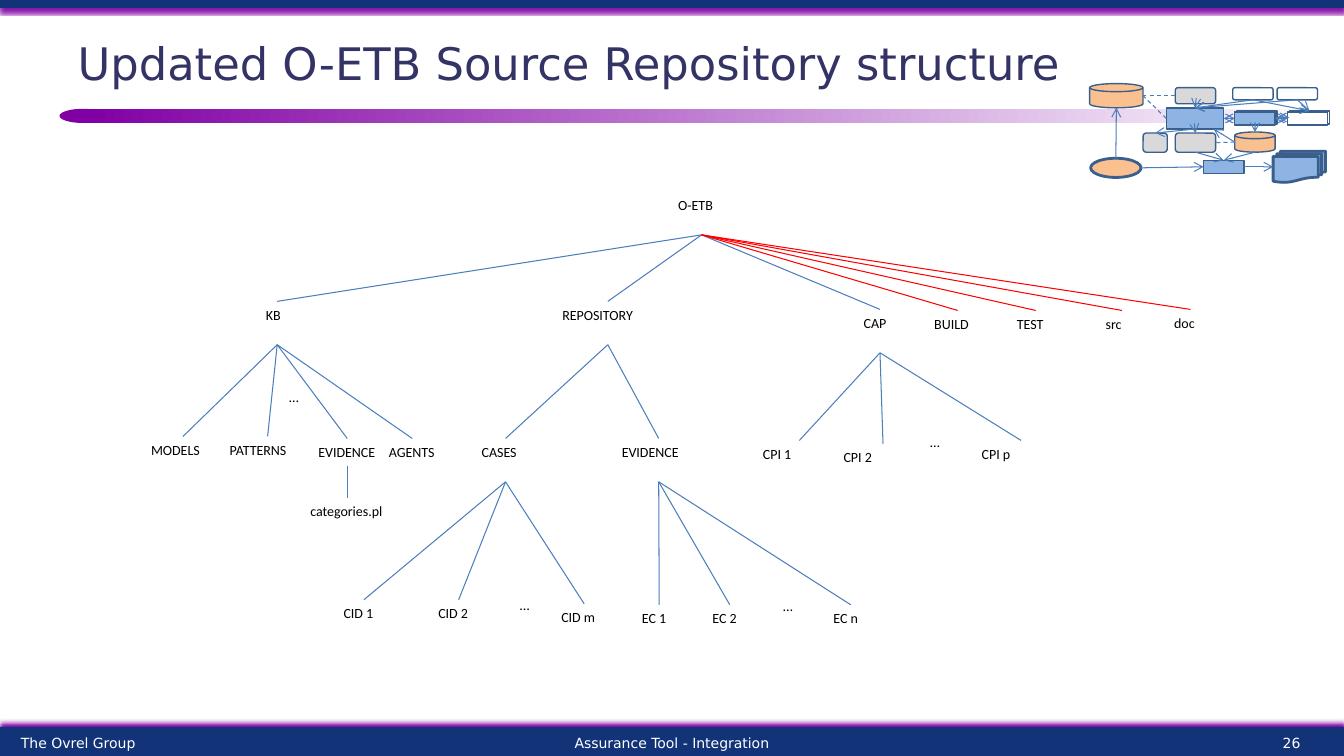
from dataclasses import dataclass

from lxml import etree
from pptx import Presentation
from pptx.dml.color import RGBColor
from pptx.enum.dml import MSO_LINE
from pptx.enum.shapes import MSO_CONNECTOR, MSO_SHAPE
from pptx.enum.text import MSO_ANCHOR, MSO_AUTO_SIZE, PP_ALIGN
from pptx.oxml.ns import qn
from pptx.util import Inches, Pt

STRAIGHT = MSO_CONNECTOR.STRAIGHT
DASH = MSO_LINE.DASH
RECT, ROUND, OVAL = MSO_SHAPE.RECTANGLE, MSO_SHAPE.ROUNDED_RECTANGLE, MSO_SHAPE.OVAL
PROCESS, DISK = MSO_SHAPE.FLOWCHART_PROCESS, MSO_SHAPE.FLOWCHART_MAGNETIC_DISK
DOCS = MSO_SHAPE.FLOWCHART_MULTIDOCUMENT
RECTANGULAR = (RECT, ROUND, PROCESS)
AL_LEFT, AL_CENTER, AL_RIGHT = PP_ALIGN.LEFT, PP_ALIGN.CENTER, PP_ALIGN.RIGHT
ANCHOR_TOP, ANCHOR_MIDDLE = MSO_ANCHOR.TOP, MSO_ANCHOR.MIDDLE
FIXED, GROW = MSO_AUTO_SIZE.NONE, MSO_AUTO_SIZE.SHAPE_TO_FIT_TEXT
TOP, LEFT, BOTTOM, RIGHT = range(4)

NAVY, PURPLE, INK, WHITE, BLACK = "123378", "8100A4", "333366", "FFFFFF", "000000"
EDGE, RED, OUTLINE = "4B7EBC", "FF0000", "3A5F8C"
PEACH, SKY, GREY = "FAC090", "8EB4E3", "D9D9D9"
SANS, LABEL_FONT = "DejaVu Sans", "Calibri"
CELL = Inches(0.1)
COLS, ROWS = 133.33, 75


@dataclass
class Node:
    text: str
    x: float
    y: float
    w: float
    h: float = 4.3
    edge: str = EDGE
    kids: tuple = ()


@dataclass
class Block:
    key: str
    kind: int
    x: float
    y: float
    w: float
    h: float
    fill: str = ""
    weight: float = 1


@dataclass
class Link:
    start: tuple
    end: tuple
    head: bool = False
    tail: bool = True
    dash: bool = False


TREE = Node("O-ETB", 66.3, 19, 6.6, kids=(
    Node("KB", 25.4, 29.9, 4.2, kids=(
        Node("MODELS", 14, 43.3, 8.3),
        Node("PATTERNS", 21.8, 43.3, 9.5),
        Node("…", 27.7, 38.1, 4, edge=""),
        Node("EVIDENCE", 30.6, 43.5, 7.7, 2.7, kids=(
            Node("categories.pl", 29.8, 49.4, 9.3, 2.7),)),
        Node("AGENTS", 37.6, 43.5, 6.6, 2.7))),
    Node("REPOSITORY", 54.8, 29.9, 11, kids=(
        Node("CASES", 46.8, 43.5, 6.7, kids=(
            Node("CID 1", 33.1, 59.5, 6),
            Node("CID 2", 42.5, 59.5, 6),
            Node("…", 50.6, 58.7, 4, edge=""),
            Node("CID m", 54.7, 59.9, 6.5))),
        Node("EVIDENCE", 60.7, 43.5, 9.3, kids=(
            Node("EC 1", 62.7, 60, 5.4),
            Node("EC 2", 69.7, 60, 5.4),
            Node("…", 76.7, 58.8, 4, edge=""),
            Node("EC n", 81.7, 60, 5.4))))),
    Node("CAP", 84.7, 30.7, 5.2, kids=(
        Node("CPI 1", 74.7, 43.7, 9.2),
        Node("CPI 2", 82.7, 44, 9.8),
        Node("…", 91.3, 42.5, 5.2, edge=""),
        Node("CPI p", 96.4, 43.7, 9.8))),
    Node("BUILD", 91.7, 30.8, 6.6, edge=RED),
    Node("TEST", 99.9, 30.8, 5.7, edge=RED),
    Node("src", 108.7, 30.8, 5.2, edge=RED),
    Node("doc", 115.5, 30.7, 5.2, edge=RED)))

BLOCKS = (
    Block("store", DISK, 108.1, 8.3, 5.3, 2.4, PEACH),
    Block("cache", DISK, 122.5, 13.1, 4, 2, PEACH),
    Block("hub", PROCESS, 115.7, 10.7, 5.7, 2.1, SKY),
    Block("lower", ROUND, 116.6, 13.2, 4, 1.9, GREY),
    Block("upper", ROUND, 116.6, 8.7, 4, 1.6, GREY),
    Block("client 1", ROUND, 122.3, 8.7, 4, 1.2),
    Block("client 2", ROUND, 126.7, 8.7, 4, 1.2),
    Block("agent back", RECT, 122.7, 11, 4, 1.3, SKY),
    Block("agent", PROCESS, 122.5, 11.1, 4, 1.3, SKY),
    Block("tool back", RECT, 127.9, 11, 4, 1.3),
    Block("tool", PROCESS, 127.7, 11.1, 4, 1.3, WHITE),
    Block("side", ROUND, 113.4, 13.2, 2.4, 1.9, GREY),
    Block("builder", RECT, 119.4, 15.9, 4, 1.3, SKY),
    Block("reports", DOCS, 126.3, 15, 5.2, 3.1, SKY, 2),
    Block("source", OVAL, 108.2, 15.7, 5, 1.9, PEACH, 2))

LINKS = (
    Link(("agent back", RIGHT), ("tool back", LEFT), head=True),
    Link(("upper", BOTTOM), ("hub", TOP)),
    Link(("hub", BOTTOM), ("lower", TOP)),
    Link(("agent", BOTTOM), ("cache", TOP)),
    Link(("hub", RIGHT), ("agent", LEFT), head=True),
    Link(("upper", LEFT), ("store", RIGHT), tail=False, dash=True),
    Link(("cache", LEFT), ("lower", RIGHT), tail=False, dash=True),
    Link(("agent", RIGHT), ("tool", LEFT), head=True),
    Link(("hub", BOTTOM), ("side", TOP)),
    Link(("client 1", BOTTOM), ("tool back", TOP)),
    Link(("client 2", BOTTOM), ("tool back", TOP)),
    Link(("client 1", BOTTOM), ("hub", TOP)),
    Link(("client 2", BOTTOM), ("hub", TOP)),
    Link(("builder", RIGHT), ("reports", LEFT)),
    Link(("lower", BOTTOM), ("builder", TOP)),
    Link(("cache", BOTTOM), ("builder", TOP)),
    Link(("source", TOP), ("store", BOTTOM)),
    Link(("source", RIGHT), ("builder", LEFT)),
    Link(("hub", LEFT), ("store", RIGHT), tail=False, dash=True))


def rgb(value: str) -> RGBColor:
    return RGBColor.from_string(value)


def grid(*cells: float) -> list:
    return [round(c * CELL) for c in cells]


def write(tf, text: str, *, size: float, font: str, color: str, align=AL_LEFT,
          anchor=ANCHOR_TOP, wrap: bool = True, fit=FIXED) -> None:
    tf.word_wrap, tf.auto_size, tf.vertical_anchor = wrap, fit, anchor
    p = tf.paragraphs[0]
    p.alignment = align
    r = p.add_run()
    r.text = text
    r.font.size, r.font.name, r.font.color.rgb = Pt(size), font, rgb(color)


def add_box(s, kind: int, cells: tuple, fill: str = "", line: str = "", weight: float = 1):
    sp = s.shapes.add_shape(kind, *grid(*cells))
    sp.shadow.inherit = False
    if fill:
        sp.fill.solid()
        sp.fill.fore_color.rgb = rgb(fill)
    else:
        sp.fill.background()
    if line:
        sp.line.color.rgb, sp.line.width = rgb(line), Pt(weight)
    else:
        sp.line.fill.background()
    return sp


def add_bar(s, y: float, h: float, distance: float, angle: int) -> None:
    sp = add_box(s, RECT, (0, y, COLS, h), NAVY)
    glow = etree.SubElement(sp._element.spPr.find(qn("a:effectLst")), qn("a:outerShdw"),
                            blurRad=str(Pt(3)), dist=str(Pt(distance)),
                            dir=str(angle * 60000), algn="ctr", rotWithShape="0")
    etree.SubElement(glow, qn("a:srgbClr"), val=PURPLE)


def side_point(sp, side: int) -> tuple:
    dx, dy = ((0.5, 0), (0, 0.5), (0.5, 1), (1, 0.5))[side]
    return round(sp.left + dx * sp.width), round(sp.top + dy * sp.height)


def add_line(s, start: tuple, end: tuple, color: str = EDGE, head: bool = False,
             tail: bool = False, dash: bool = False):
    line = s.shapes.add_connector(STRAIGHT, *start, *end)
    line.line.color.rgb, line.line.width = rgb(color), Pt(0.75)
    if dash:
        line.line.dash_style = DASH
    ln = line.line._get_or_add_ln()
    for shown, tag in ((head, "a:headEnd"), (tail, "a:tailEnd")):
        if shown:
            etree.SubElement(ln, qn(tag), type="arrow")
    etree.SubElement(line._element.spPr, qn("a:effectLst"))
    return line


def add_node(s, node: Node):
    sp = s.shapes.add_textbox(*grid(node.x, node.y, node.w, node.h))
    write(sp.text_frame, node.text, size=10, font=LABEL_FONT, color=BLACK, wrap=False, fit=GROW)
    for kid in node.kids:
        child = add_node(s, kid)
        if kid.edge:
            line = add_line(s, side_point(sp, BOTTOM), side_point(child, TOP), kid.edge)
            line.begin_connect(sp, BOTTOM)
            line.end_connect(child, TOP)
    return sp


def add_overview(s) -> None:
    shapes = {b.key: add_box(s, b.kind, (b.x, b.y, b.w, b.h), b.fill, OUTLINE, b.weight)
              for b in BLOCKS}
    for k in LINKS:
        a, b = shapes[k.start[0]], shapes[k.end[0]]
        line = add_line(s, side_point(a, k.start[1]), side_point(b, k.end[1]),
                        head=k.head, tail=k.tail, dash=k.dash)
        if a.auto_shape_type in RECTANGULAR:
            line.begin_connect(a, k.start[1])
        if b.auto_shape_type in RECTANGULAR:
            line.end_connect(b, k.end[1])
    add_line(s, side_point(shapes["cache"], LEFT), tuple(grid(120.4, 12.8)), tail=True)


def main() -> None:
    prs = Presentation()
    prs.slide_width, prs.slide_height = grid(COLS, ROWS)
    s = prs.slides.add_slide(prs.slide_layouts[5])

    add_bar(s, 0, 0.8, 2, 90)
    add_bar(s, 72.1, 3.1, 3, 270)
    rule = add_box(s, ROUND, (8.4, 10.8, 123.4, 1.4), PURPLE)
    rule.adjustments[0] = 0.02
    rule.fill.gradient()
    rule.fill.gradient_angle = 0
    for stop, color in zip(rule.fill.gradient_stops, (PURPLE, WHITE)):
        stop.color.rgb = rgb(color)
    add_box(s, OVAL, (5.9, 10.8, 4.6, 1.4), PURPLE)

    for text, x, w, align in (("The Ovrel Group", 1.1, 31.1, AL_LEFT),
                              ("Assurance Tool - Integration", 33.3, 66.7, AL_CENTER),
                              ("26", 114.4, 15.6, AL_RIGHT)):
        sp = s.shapes.add_textbox(*grid(x, 72.4, w, 2.6))
        write(sp.text_frame, text, size=10, font=SANS, color=WHITE, align=align,
              anchor=ANCHOR_MIDDLE)

    title = s.shapes.title
    title.left, title.top, title.width, title.height = grid(6.7, 1.5, 113.3, 9.4)
    write(title.text_frame, "Updated O-ETB Source Repository structure", size=32, font=SANS,
          color=INK, anchor=ANCHOR_MIDDLE)

    add_overview(s)
    add_node(s, TREE)
    prs.save("out.pptx")


if __name__ == "__main__":
    main()
